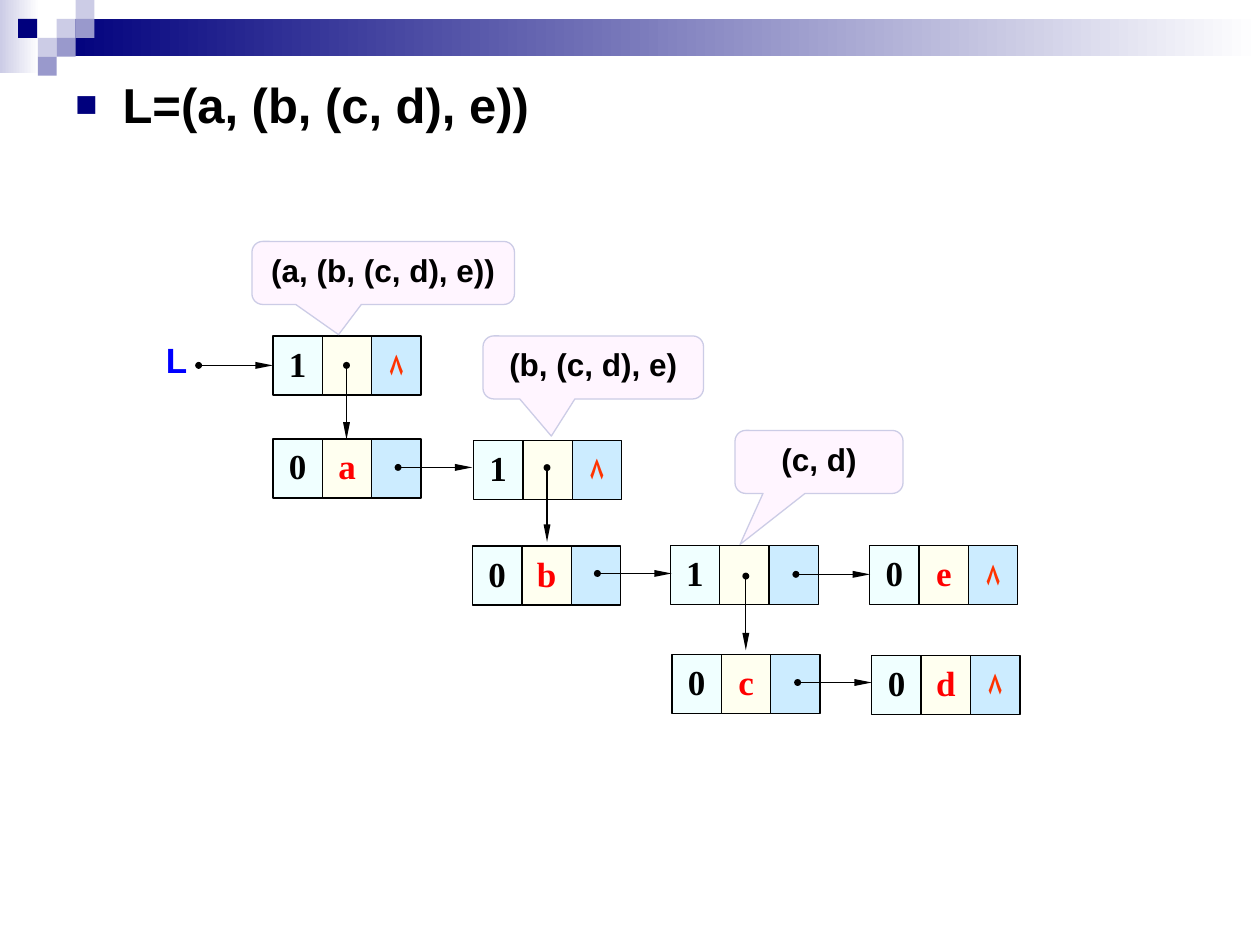
from lxml.etree import SubElement
from pptx import Presentation
from pptx.dml.color import RGBColor
from pptx.enum.shapes import MSO_CONNECTOR, MSO_SHAPE
from pptx.enum.text import MSO_ANCHOR, PP_ALIGN
from pptx.oxml.ns import qn
from pptx.util import Pt

COLORS = {
    "navy": "00007D", "lavender": "CCCCE6", "violet": "9999CC", "white": "FFFFFF",
    "black": "000000", "red": "FF0000", "orange": "FF3300", "blue": "0000FF",
    "tag": "F0FFFF", "data": "FFFFF0", "next": "CCECFF", "callout": "FFF5FF",
}
TITLE = "L=(a, (b, (c, d), e))"
NIL = "۸"

# Corner decoration: left, top, width, height, colour or gradient pair
BANDS = [
    (0, 0, 22.5, 41.75, ("lavender", "white")),
    (32.4, 10.8, 687.6, 21.3, ("navy", "white")),
]
SQUARE = 10.8
SQUARES = [
    (32.4, 10.8, "lavender"), (43.2, 0, "lavender"), (43.2, 10.8, "violet"),
    (21.6, 21.6, "lavender"), (10.4, 10.8, "navy"), (32.4, 21.6, "violet"),
    (21.6, 32.4, "violet"),
]

# List nodes: left, top, (tag, data, next)
NODES = [
    (156, 192, ("1", "", NIL)),
    (156, 250.8, ("0", "a", "")),
    (270.6, 251.6, ("1", "", NIL)),
    (270, 312, ("0", "b", "")),
    (383, 311.8, ("1", "", "")),
    (497, 311.8, ("0", "e", NIL)),
    (384, 374, ("0", "c", "")),
    (498.2, 374.4, ("0", "d", NIL)),
]
CELL_W, CELL_H = 28.2, 33.8
FIELDS = ["tag", "data", "next"]

# Pointers: start x, start y, direction
POINTER_LENGTH = 42.4
RIGHT, DOWN = (1, 0), (0, 1)
POINTERS = [
    (198, 208.8, DOWN), (312.6, 267.2, DOWN), (426.2, 329.2, DOWN),
    (113.5, 208.8, RIGHT), (227.5, 267.1, RIGHT), (341.4, 327.7, RIGHT),
    (454.8, 328.2, RIGHT), (455.8, 390, RIGHT),
]

# Callouts: text, left, top, width, tail x and y as fractions of the size
CALLOUTS = [
    ("(b, (c, d), e)", 276, 192, 126, -0.19, 1.09),
    ("(c, d)", 420, 246, 96, -0.47, 1.31),
    ("(a, (b, (c, d), e))", 144, 138, 150, -0.17, 0.98),
]
CALLOUT_H = 36


def rgb(name):
    return RGBColor.from_string(COLORS[name])


def write(holder, text, *, size, color="black", font="Arial", align=PP_ALIGN.LEFT,
          anchor=MSO_ANCHOR.TOP, top=3.6, wrap=True, bullet=None):
    frame = holder.text_frame
    frame.word_wrap = wrap
    frame.vertical_anchor = anchor
    frame.margin_left = frame.margin_right = Pt(7.2)
    frame.margin_top, frame.margin_bottom = Pt(top), Pt(3.6)
    paragraph = frame.paragraphs[0]
    paragraph.alignment = align
    if bullet:
        props = paragraph._p.get_or_add_pPr()
        props.set("marL", str(Pt(27)))
        props.set("indent", str(-Pt(27)))
        tint = SubElement(props, qn("a:buClr"))
        SubElement(tint, qn("a:srgbClr"), val=COLORS["navy"])
        SubElement(props, qn("a:buSzPct"), val="75000")
        SubElement(props, qn("a:buFont"), typeface="Arial")
        SubElement(props, qn("a:buChar"), char=bullet)
    run = paragraph.add_run()
    run.text = text
    run.font.size, run.font.name, run.font.bold = Pt(size), font, True
    run.font.color.rgb = rgb(color)


def add_box(slide, kind, left, top, width, height, fill, line=None):
    box = slide.shapes.add_shape(kind, Pt(left), Pt(top), Pt(width), Pt(height))
    box.shadow.inherit = False
    if isinstance(fill, tuple):
        box.fill.gradient()
        box.fill.gradient_angle = 0
        for stop, position, color in zip(box.fill.gradient_stops, (0, 1), fill):
            stop.position, stop.color.rgb = position, rgb(color)
    else:
        box.fill.solid()
        box.fill.fore_color.rgb = rgb(fill)
    if line:
        box.line.color.rgb, box.line.width = rgb(line), Pt(0.75)
    else:
        box.line.fill.background()
    return box


def add_pointer(slide, x, y, direction):
    dx, dy = (POINTER_LENGTH * step for step in direction)
    pointer = slide.shapes.add_connector(
        MSO_CONNECTOR.STRAIGHT, Pt(x), Pt(y), Pt(x + dx), Pt(y + dy))
    pointer.line.color.rgb, pointer.line.width = rgb("black"), Pt(0.75)
    ends = pointer.line._get_or_add_ln()
    SubElement(ends, qn("a:headEnd"), type="oval", w="sm", len="sm")
    SubElement(ends, qn("a:tailEnd"), type="triangle", w="sm", len="lg")
    SubElement(pointer._element.spPr, qn("a:effectLst"))


def add_node(slide, left, top, values):
    for column, (field, value) in enumerate(zip(FIELDS, values)):
        cell = add_box(slide, MSO_SHAPE.RECTANGLE, left + column * CELL_W, top,
                       CELL_W, CELL_H, field, "black")
        if not value:
            continue
        if value == NIL:
            style = {"size": 18, "color": "orange"}
        else:
            style = {"size": 20, "font": "Times New Roman",
                     "color": "red" if field == "data" else "black"}
        write(cell, value, align=PP_ALIGN.CENTER, anchor=MSO_ANCHOR.MIDDLE,
              top=0.7, wrap=False, **style)


def main():
    deck = Presentation()
    deck.slide_width, deck.slide_height = Pt(720), Pt(540)
    slide = deck.slides.add_slide(deck.slide_layouts[6])

    # Corner decoration
    for left, top, width, height, fill in BANDS:
        add_box(slide, MSO_SHAPE.RECTANGLE, left, top, width, height, fill)
    for left, top, color in SQUARES:
        add_box(slide, MSO_SHAPE.RECTANGLE, left, top, SQUARE, SQUARE, color)

    # Heading
    heading = slide.shapes.add_textbox(Pt(36), Pt(36), Pt(648), Pt(504))
    write(heading, TITLE, size=28, top=6.6, bullet="■")

    # Nodes and their pointers
    for node in NODES:
        add_node(slide, *node)
    for pointer in POINTERS:
        add_pointer(slide, *pointer)

    # Callouts
    for text, left, top, width, tail_x, tail_y in CALLOUTS:
        callout = add_box(slide, MSO_SHAPE.ROUNDED_RECTANGULAR_CALLOUT, left, top,
                          width, CALLOUT_H, "callout", "lavender")
        for index, value in enumerate((tail_x, tail_y, 0.17)):
            callout.adjustments[index] = value
        write(callout, text, size=18, align=PP_ALIGN.CENTER)

    # List head
    head = slide.shapes.add_textbox(Pt(87.8), Pt(190), Pt(26.6), Pt(31.6))
    write(head, "L", size=20, color="blue", wrap=False)

    deck.save("out.pptx")


if __name__ == "__main__":
    main()
